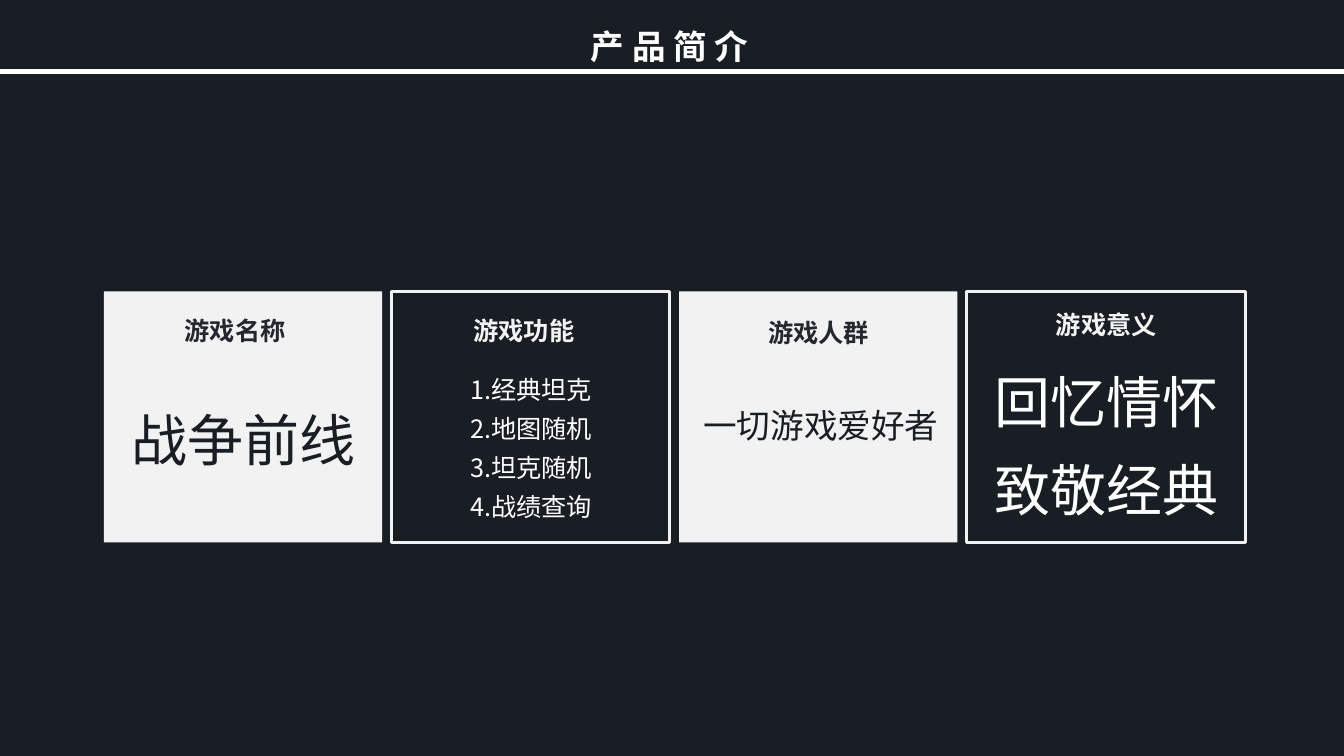
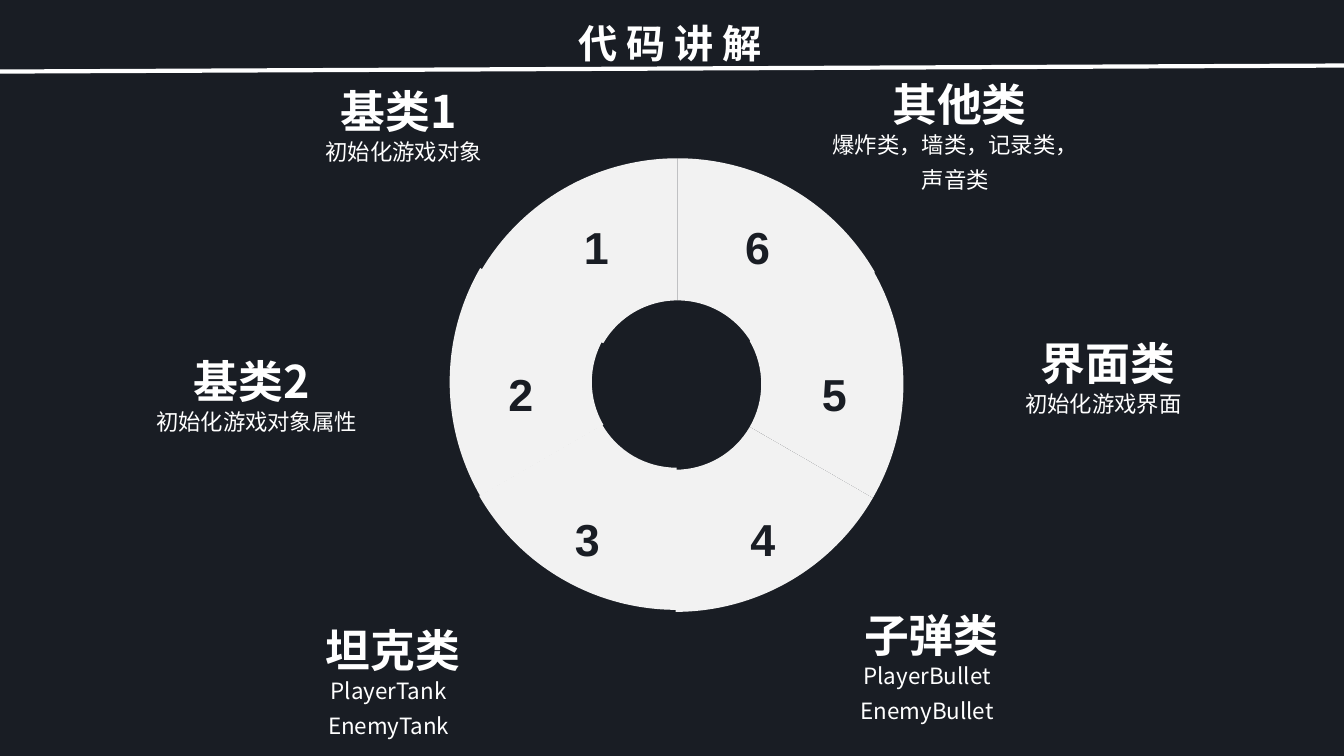
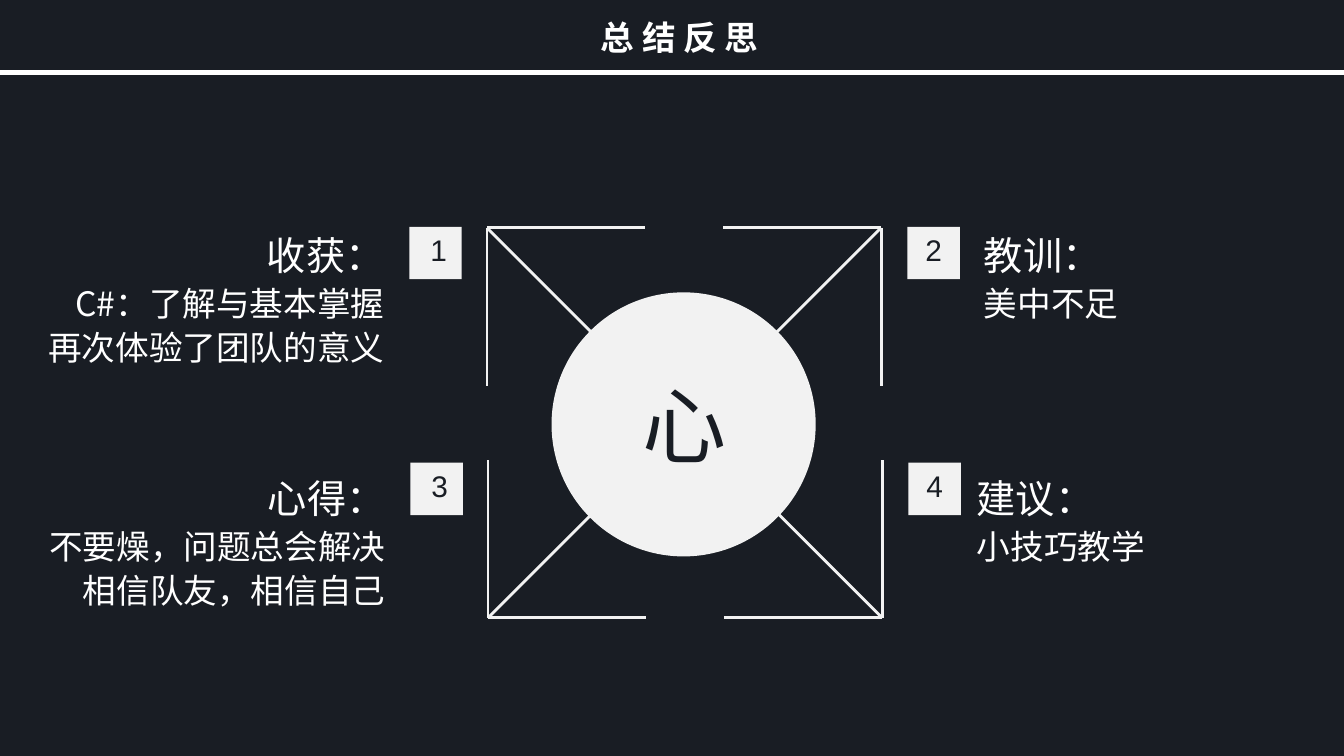
import math
from dataclasses import dataclass

from lxml import etree
from pptx import Presentation
from pptx.dml.color import RGBColor
from pptx.enum.shapes import MSO_CONNECTOR, MSO_SHAPE
from pptx.enum.text import MSO_ANCHOR, MSO_AUTO_SIZE, PP_ALIGN
from pptx.oxml.ns import qn
from pptx.util import Emu, Pt

LEFT, CENTER, RIGHT = PP_ALIGN.LEFT, PP_ALIGN.CENTER, PP_ALIGN.RIGHT
TOP, MIDDLE = MSO_ANCHOR.TOP, MSO_ANCHOR.MIDDLE
FIT = MSO_AUTO_SIZE.SHAPE_TO_FIT_TEXT
RECT, OVAL = MSO_SHAPE.RECTANGLE, MSO_SHAPE.OVAL
STRAIGHT = MSO_CONNECTOR.STRAIGHT

EMU_PER_PX = 9144
SLIDE_W, SLIDE_H = 1333, 750
TITLE_ONLY = 5


@dataclass(frozen=True)
class Theme:
    dark: RGBColor = RGBColor(0x19, 0x1D, 0x24)
    pale: RGBColor = RGBColor(0xF2, 0xF2, 0xF2)
    white: RGBColor = RGBColor(0xFF, 0xFF, 0xFF)
    cjk: str = "Noto Sans CJK SC"
    latin: str = "Arial"
    title: float = 24
    title_large: float = 28
    card_head: float = 18
    card_list: float = 18
    card_line: float = 24
    card_big: float = 40
    class_head: float = 32
    class_body: float = 16
    sector: float = 32
    note_head: float = 28
    note_body: float = 24
    badge: float = 21.3
    heart: float = 60
    rule: float = 3
    outline: float = 2.25
    bracket: float = 2


THEME = Theme()


@dataclass(frozen=True)
class Box:
    x: float
    y: int
    w: int
    h: int


@dataclass(frozen=True)
class Style:
    size: float
    color: RGBColor = THEME.white
    font: str = THEME.cjk
    bold: bool = False
    align: PP_ALIGN = LEFT
    spacing: float = 1.0
    alpha: int = 100


@dataclass(frozen=True)
class Card:
    head: str
    head_x: int
    head_y: int
    lines: list[str]
    size: float
    body: Box
    filled: bool


@dataclass(frozen=True)
class Sector:
    cx: int
    cy: int
    label_x: int
    label_y: int


@dataclass(frozen=True)
class ClassNote:
    x: int
    y: int
    head: str
    lines: list[str]


@dataclass(frozen=True)
class Corner:
    x: int
    y: int
    dx: int
    dy: int


@dataclass(frozen=True)
class Badge:
    x: int
    y: int
    nudge: int


@dataclass(frozen=True)
class Note:
    box: Box
    align: PP_ALIGN
    lines: list[str]


CARDS_LEFT, CARDS_RIGHT, CARD_Y, CARD_W, CARD_H = 103, 1235, 289, 276, 249
CARD_HEAD_W, CARD_HEAD_H = 122, 40
CARDS = [
    Card("游戏名称", 68, 308, ["战争前线"], THEME.card_big, Box(11, 377, 255, 89), True),
    Card("游戏功能", 69, 308, ["1.经典坦克", "2.地图随机", "3.坦克随机", "4.战绩查询"],
         THEME.card_list, Box(11, 357, 255, 168), False),
    Card("游戏人群", 76, 310, ["一切游戏爱好者"], THEME.card_line, Box(6, 385, 269, 57), True),
    Card("游戏意义", 76, 302, ["回忆情怀", "致敬经典"], THEME.card_big,
         Box(11, 340, 255, 185), False),
]

RING_OUTER, RING_INNER = 226, 85
SECTORS = [
    Sector(672, 383, 579, 218),
    Sector(672, 379, 504, 364),
    Sector(671, 379, 570, 508),
    Sector(670, 381, 744, 508),
    Sector(670, 381, 815, 364),
    Sector(672, 383, 739, 218),
]
CLASS_NOTES = [
    ClassNote(338, 72, "基类1", ["初始化游戏对象"]),
    ClassNote(192, 340, "基类2", ["初始化游戏对象属性"]),
    ClassNote(323, 607, "坦克类", ["PlayerTank", "EnemyTank"]),
    ClassNote(857, 592, "子弹类", ["PlayerBullet", "EnemyBullet"]),
    ClassNote(1032, 322, "界面类", ["初始化游戏界面"]),
    ClassNote(885, 65, "其他类", ["爆炸类，墙类，记录类，声音类"]),
]

ARM, DIAGONAL, BADGE_SIDE = 157, 185, 52
CORNERS = [
    Corner(483, 226, 1, 1),
    Corner(874, 226, -1, 1),
    Corner(484, 613, 1, -1),
    Corner(875, 613, -1, -1),
]
BADGES = [Badge(406, 225, 6), Badge(900, 225, 0), Badge(407, 459, 6), Badge(901, 459, 0)]
NOTES = [
    Note(Box(0, 220, 391, 151), RIGHT, ["收获：", "C#：了解与基本掌握", "再次体验了团队的意义"]),
    Note(Box(966, 220, 338, 158), LEFT, ["教训：", "美中不足"]),
    Note(Box(0, 461, 392, 151), RIGHT, ["心得：", "不要燥，问题总会解决", "相信队友，相信自己"]),
    Note(Box(959, 461, 338, 151), LEFT, ["建议：", "小技巧教学"]),
]


def px(n: float) -> Emu:
    return Emu(round(n * EMU_PER_PX))


def bounds(box: Box) -> tuple[Emu, Emu, Emu, Emu]:
    return px(box.x), px(box.y), px(box.w), px(box.h)


def format_run(r, style: Style) -> None:
    r.font.size = Pt(style.size)
    r.font.bold = style.bold
    r.font.color.rgb = style.color
    r.font.name = style.font
    rPr = r._r.get_or_add_rPr()
    etree.SubElement(rPr, qn("a:ea")).set("typeface", style.font)
    if style.alpha < 100:
        clr = rPr.find(".//" + qn("a:srgbClr"))
        etree.SubElement(clr, qn("a:alpha")).set("val", str(style.alpha * 1000))


def write(tf, lines: list[str], styles: list[Style]) -> None:
    tf.text = "\n".join(lines)
    for i, p in enumerate(tf.paragraphs):
        style = styles[min(i, len(styles) - 1)]
        p.alignment = style.align
        p.line_spacing = style.spacing
        for r in p.runs:
            format_run(r, style)


def set_margins(tf, left: int = 0, bottom: int = 0) -> None:
    tf.margin_left, tf.margin_bottom = px(left), px(bottom)
    tf.margin_right = tf.margin_top = 0


def add_text(s, box: Box, lines: list[str], *styles: Style,
             wrap: bool = True, tight: bool = False) -> None:
    tf = s.shapes.add_textbox(*bounds(box)).text_frame
    tf.word_wrap = wrap
    tf.auto_size = FIT
    if tight:
        set_margins(tf)
    write(tf, lines, list(styles))


def paint(sp, filled: bool = True) -> None:
    sp.shadow.inherit = False
    if filled:
        sp.fill.solid()
        sp.fill.fore_color.rgb = THEME.pale
        sp.line.fill.background()
    else:
        sp.fill.background()
        sp.line.color.rgb = THEME.pale
        sp.line.width = Pt(THEME.outline)


def add_panel(s, kind: MSO_SHAPE, box: Box, filled: bool = True):
    sp = s.shapes.add_shape(kind, *bounds(box))
    paint(sp, filled)
    return sp


def add_line(s, x1: int, y1: int, x2: int, y2: int, color: RGBColor, width: float) -> None:
    line = s.shapes.add_connector(STRAIGHT, px(x1), px(y1), px(x2), px(y2))
    line.line.color.rgb = color
    line.line.width = Pt(width)
    etree.SubElement(line._element.spPr, qn("a:effectLst"))


def add_titled_slide(prs, title: str, box: Box, size: float, rule_y1: int, rule_y2: int):
    s = prs.slides.add_slide(prs.slide_layouts[TITLE_ONLY])
    sp = s.shapes.title
    sp.left, sp.top, sp.width, sp.height = bounds(box)
    tf = sp.text_frame
    tf.word_wrap = False
    tf.auto_size = FIT
    tf.vertical_anchor = TOP
    write(tf, [title], [Style(size, bold=True)])
    add_line(s, 0, rule_y1, SLIDE_W, rule_y2, THEME.white, THEME.rule)
    return s


def add_card(s, x: float, card: Card) -> None:
    color = THEME.dark if card.filled else THEME.white
    body = card.body
    add_panel(s, RECT, Box(x, CARD_Y, CARD_W, CARD_H), card.filled)
    add_text(s, Box(x + card.head_x, card.head_y, CARD_HEAD_W, CARD_HEAD_H), [card.head],
             Style(THEME.card_head, color, bold=True, align=RIGHT, alpha=95))
    add_text(s, Box(x + body.x, body.y, body.w, body.h), card.lines,
             Style(card.size, color, align=CENTER, spacing=1.3))


def arc_points(sector: Sector, radius: int, start: int) -> list[tuple[Emu, Emu]]:
    handle = 4 / 3 * math.tan(math.radians(30) / 4)

    def point(degrees: int, pull: float) -> tuple[Emu, Emu]:
        a = math.radians(degrees)
        return (px(sector.cx + radius * (math.cos(a) - pull * math.sin(a))),
                px(sector.cy - radius * (math.sin(a) + pull * math.cos(a))))

    points = [point(start, 0)]
    for a in (start, start + 30):
        points += [point(a, handle), point(a + 30, -handle), point(a + 30, 0)]
    return points


def bend(sp) -> None:
    segments = sp._element.findall(".//" + qn("a:lnTo"))
    for first in (0, 3, 7, 10):
        curve = etree.Element(qn("a:cubicBezTo"))
        segments[first].addprevious(curve)
        for segment in segments[first:first + 3]:
            curve.append(segment[0])
            segment.getparent().remove(segment)


def add_sector(s, index: int, sector: Sector) -> None:
    start = 90 + 60 * index
    points = (arc_points(sector, RING_OUTER, start)
              + arc_points(sector, RING_INNER, start)[::-1])
    builder = s.shapes.build_freeform(*points[0])
    builder.add_line_segments(points[1:-1], close=False)
    builder.add_line_segments(points[-1:], close=True)
    sp = builder.convert_to_shape()
    bend(sp)
    paint(sp)


def add_class_note(s, note: ClassNote) -> None:
    add_text(s, Box(note.x, note.y, 181, 59), [note.head],
             Style(THEME.class_head, bold=True, spacing=1.2), tight=True)
    add_text(s, Box(note.x - 65, note.y + 57, 255, 35 * len(note.lines)), note.lines,
             Style(THEME.class_body, align=CENTER, spacing=1.3), tight=True)


def add_corner(s, corner: Corner) -> None:
    for run, rise in ((ARM, 0), (0, ARM), (DIAGONAL, DIAGONAL)):
        add_line(s, corner.x, corner.y, corner.x + corner.dx * run,
                 corner.y + corner.dy * rise, THEME.pale, THEME.bracket)


def add_label_panel(s, box: Box, text: str, style: Style,
                    left: int = 0, bottom: int = 0) -> None:
    tf = add_panel(s, RECT, box).text_frame
    tf.vertical_anchor = MIDDLE
    set_margins(tf, left, bottom)
    write(tf, [text], [style])


def build_product(prs) -> None:
    s = add_titled_slide(prs, "产 品 简 介", Box(576, 21, 185, 50), THEME.title, 71, 71)
    pitch = (CARDS_RIGHT - CARD_W - CARDS_LEFT) / (len(CARDS) - 1)
    for i, card in enumerate(CARDS):
        add_card(s, CARDS_LEFT + i * pitch, card)


def build_code(prs) -> None:
    s = add_titled_slide(prs, "代 码 讲 解", Box(564, 14, 213, 57), THEME.title_large, 71, 65)
    for i, sector in enumerate(SECTORS):
        add_sector(s, i, sector)
    digit = Style(THEME.sector, THEME.dark, THEME.latin, bold=True, align=CENTER)
    for i, sector in enumerate(SECTORS, 1):
        add_text(s, Box(sector.label_x, sector.label_y, 25, 54), [str(i)], digit,
                 wrap=False, tight=True)
    for note in CLASS_NOTES:
        add_class_note(s, note)


def build_summary(prs) -> None:
    s = add_titled_slide(prs, "总 结 反 思", Box(586, 12, 185, 50), THEME.title, 72, 72)
    for corner in CORNERS:
        add_corner(s, corner)
    add_panel(s, OVAL, Box(547, 290, 262, 262))
    add_label_panel(s, Box(604, 365, 149, 111), "心",
                    Style(THEME.heart, THEME.dark, align=CENTER))
    digit = Style(THEME.badge, THEME.dark, THEME.latin, align=CENTER)
    for i, badge in enumerate(BADGES, 1):
        add_label_panel(s, Box(badge.x, badge.y, BADGE_SIDE, BADGE_SIDE), str(i), digit,
                        left=badge.nudge, bottom=6)
    for note in NOTES:
        add_text(s, note.box, note.lines,
                 Style(THEME.note_head, align=note.align, spacing=1.1),
                 Style(THEME.note_body, align=note.align, spacing=1.1))


def main() -> None:
    prs = Presentation()
    prs.slide_width, prs.slide_height = px(SLIDE_W), px(SLIDE_H)
    fill = prs.slide_master.background.fill
    fill.solid()
    fill.fore_color.rgb = THEME.dark
    build_product(prs)
    build_code(prs)
    build_summary(prs)
    prs.save("out.pptx")


if __name__ == "__main__":
    main()
